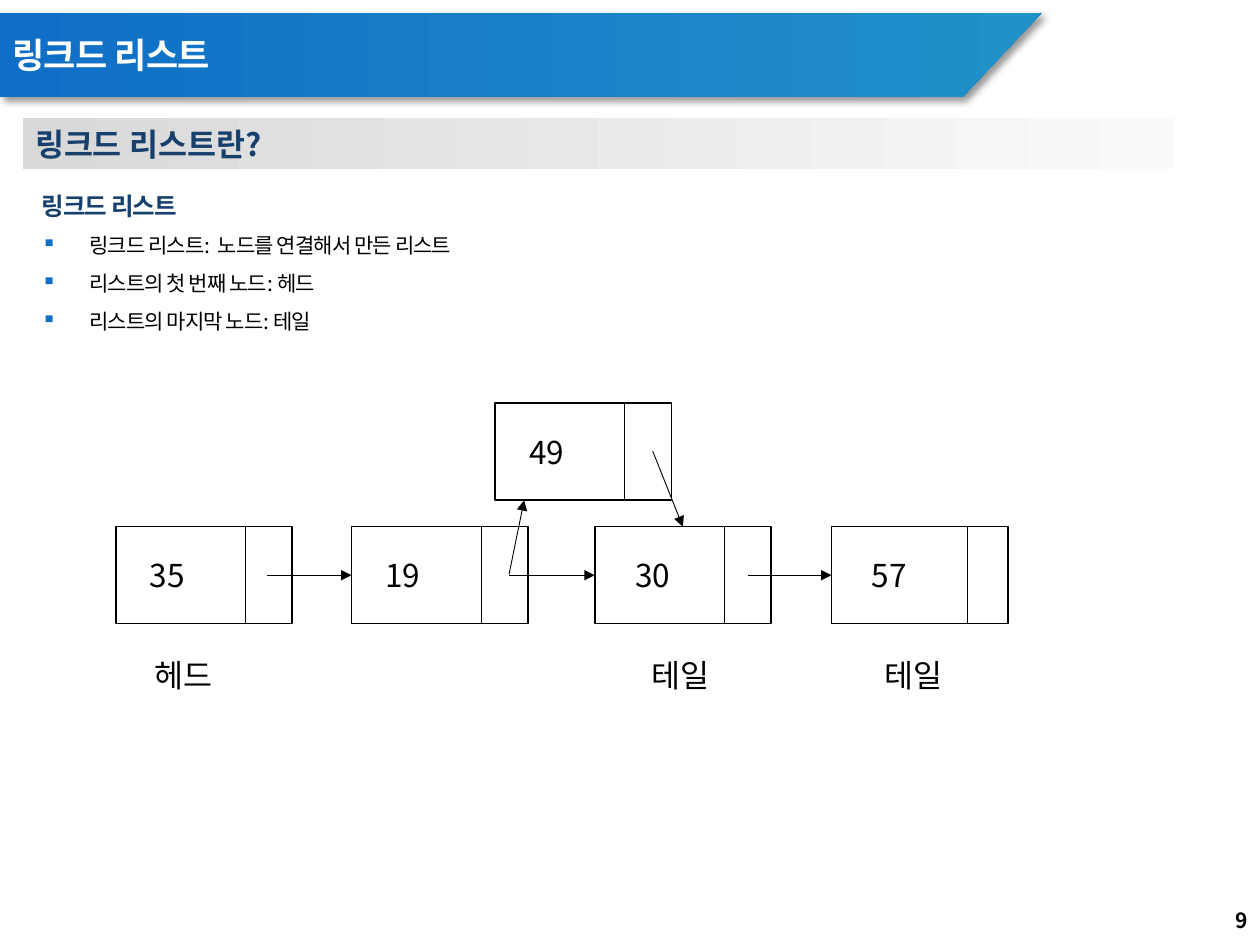
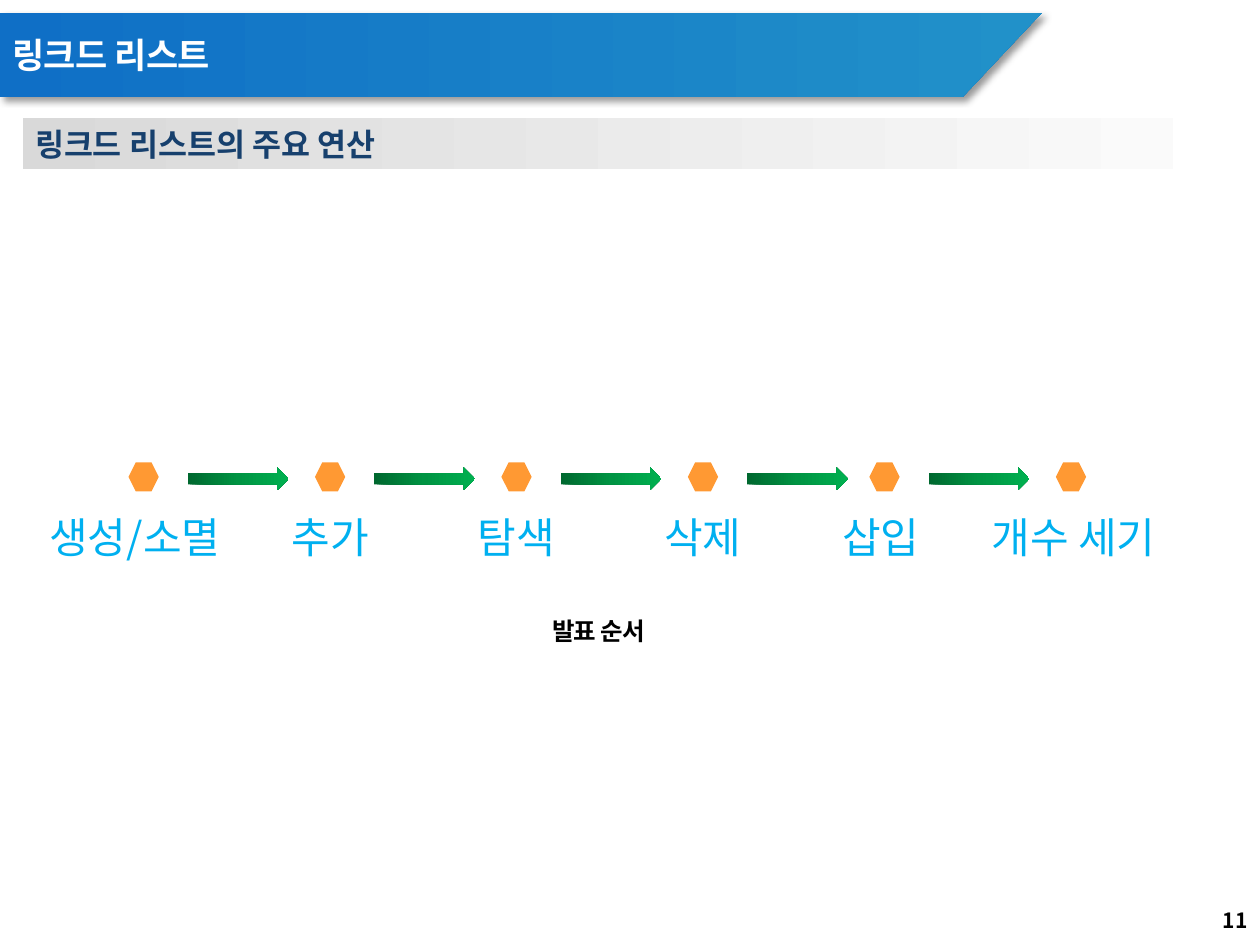
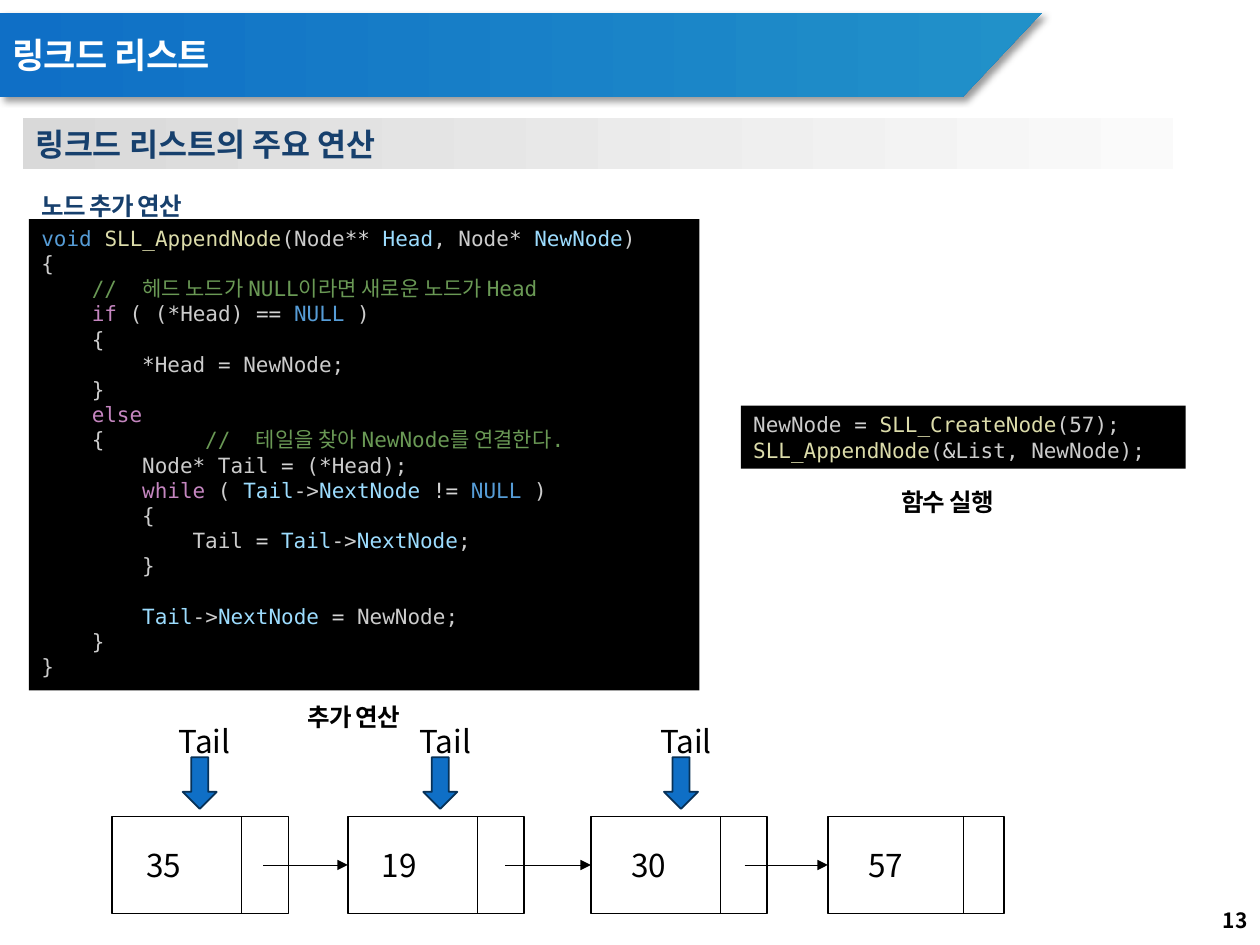
from lxml import etree
from pptx import Presentation
from pptx.dml.color import RGBColor
from pptx.enum.shapes import MSO_CONNECTOR, MSO_SHAPE
from pptx.enum.text import MSO_ANCHOR, PP_ALIGN
from pptx.oxml.ns import qn
from pptx.util import Inches, Pt

RECTANGLE = MSO_SHAPE.RECTANGLE
HEXAGON = MSO_SHAPE.HEXAGON
RIGHT_ARROW = MSO_SHAPE.RIGHT_ARROW
DOWN_ARROW = MSO_SHAPE.DOWN_ARROW
STRAIGHT = MSO_CONNECTOR.STRAIGHT
TOP, MIDDLE = MSO_ANCHOR.TOP, MSO_ANCHOR.MIDDLE
LEFT, CENTER, RIGHT = PP_ALIGN.LEFT, PP_ALIGN.CENTER, PP_ALIGN.RIGHT
TOP_SIDE, LEFT_SIDE = 0, 1

FONT = "Noto Sans CJK KR"
CAPTION_FONT = "Arial"
CODE_FONT = "DejaVu Sans Mono"

BLACK = RGBColor(0x00, 0x00, 0x00)
WHITE = RGBColor(0xFF, 0xFF, 0xFF)
NAVY = RGBColor(0x17, 0x40, 0x6D)
BLUE = RGBColor(0x0F, 0x6F, 0xC6)
DARK_BLUE = RGBColor(0x07, 0x31, 0x57)
SKY = RGBColor(0x00, 0xB0, 0xF0)
ORANGE = RGBColor(0xFF, 0x99, 0x33)
BANNER_COLORS = [BLUE, RGBColor(0x21, 0x91, 0xC9)]
BAND_COLORS = [RGBColor(0xD9, 0xD9, 0xD9), RGBColor(0xFA, 0xFA, 0xFA)]
ARROW_COLORS = [RGBColor(0x00, 0x68, 0x2F), RGBColor(0x00, 0x94, 0x43),
                RGBColor(0x00, 0xB0, 0x50)]

# Syntax colours
PLAIN = RGBColor(0xCC, 0xCC, 0xCC)
OPERATOR = RGBColor(0xD4, 0xD4, 0xD4)
KEYWORD = RGBColor(0x56, 0x9C, 0xD6)
CONTROL = RGBColor(0xC5, 0x86, 0xC0)
FUNCTION = RGBColor(0xDC, 0xDC, 0xAA)
VARIABLE = RGBColor(0x9C, 0xDC, 0xFE)
COMMENT = RGBColor(0x6A, 0x99, 0x55)

CODE_INDENT = 0.4
COMMENT_TAB = 1.3
NODE_WIDTH, NODE_HEIGHT = 1.4, 0.77
# Value, left offset, text inset, divider offset, start of the outgoing link
LIST_NODES = [
    ("35", 0, 0.27, 1.03, 1.2),
    ("19", 1.87, 0.27, 1.03, 1.25),
    ("30", 3.8, 0.32, 1.03, 1.22),
    ("57", 5.68, 0.32, 1.08, None),
]

# Each line: indent level, then its coloured runs
APPEND_CODE = [
    (0, [("void ", KEYWORD), ("SLL_AppendNode", FUNCTION), ("(Node", PLAIN),
         ("** ", OPERATOR), ("Head", VARIABLE), (", Node", PLAIN),
         ("* ", OPERATOR), ("NewNode", VARIABLE), (")", PLAIN)]),
    (0, [("{", PLAIN)]),
    (1, [("//  헤드 노드가 NULL이라면 새로운 노드가 Head", COMMENT)]),
    (1, [("if", CONTROL), (" ( (", PLAIN), ("*", OPERATOR), ("Head) ", PLAIN),
         ("== ", OPERATOR), ("NULL", KEYWORD), (" )", PLAIN)]),
    (1, [("{", PLAIN)]),
    (2, [("*", OPERATOR), ("Head ", PLAIN), ("= ", OPERATOR), ("NewNode;", PLAIN)]),
    (1, [("}", PLAIN)]),
    (1, [("else", CONTROL)]),
    (0, [("\t{\t", PLAIN), ("//  테일을 찾아 NewNode를 연결한다.", COMMENT)]),
    (2, [("Node", PLAIN), ("*", OPERATOR), (" Tail ", PLAIN), ("=", OPERATOR),
         (" (", PLAIN), ("*", OPERATOR), ("Head);", PLAIN)]),
    (2, [("while", CONTROL), (" ( ", PLAIN), ("Tail", VARIABLE), ("->", PLAIN),
         ("NextNode ", VARIABLE), ("!= ", OPERATOR), ("NULL", KEYWORD), (" )", PLAIN)]),
    (2, [("{", PLAIN)]),
    (3, [("Tail ", PLAIN), ("= ", OPERATOR), ("Tail", VARIABLE), ("->", PLAIN),
         ("NextNode", VARIABLE), (";", PLAIN)]),
    (2, [("}", PLAIN)]),
    (2, [("Tail", VARIABLE), ("->", PLAIN), ("NextNode ", VARIABLE),
         ("= ", OPERATOR), ("NewNode;", PLAIN)]),
    (1, [("}", PLAIN)]),
    (0, [("}", PLAIN)]),
]
LINE_AFTER_GAP = 14
CALL_CODE = [
    (0, [("NewNode ", PLAIN), ("= ", OPERATOR), ("SLL_CreateNode", FUNCTION),
         ("(57);", PLAIN)]),
    (0, [("SLL_AppendNode", FUNCTION), ("(", PLAIN), ("&", OPERATOR),
         ("List, NewNode);", PLAIN)]),
]


# Basic parts

def add_xml(parent, tag, **attributes):
    child = etree.SubElement(parent, qn(tag))
    for name, value in attributes.items():
        child.set(name, str(value))
    return child


def add_run(paragraph, text, size, color, font=FONT, bold=False, spacing=0):
    run = paragraph.add_run()
    run.text = text
    run.font.size = Pt(size)
    run.font.bold = bold
    run.font.color.rgb = color
    run.font.name = font
    properties = run.font._element
    add_xml(properties, "a:ea", typeface=FONT)
    if spacing:
        properties.set("spc", str(round(spacing * 100)))


def add_text(slide, box, text, size, color, align=LEFT, anchor=TOP, **style):
    text_box = slide.shapes.add_textbox(*map(Inches, box))
    frame = text_box.text_frame
    frame.word_wrap = True
    frame.vertical_anchor = anchor
    paragraph = frame.paragraphs[0]
    paragraph.alignment = align
    add_run(paragraph, text, size, color, **style)
    return frame


def paint(shape, colors, line_color=None):
    """Fill with one colour, or left to right with several."""
    shape.shadow.inherit = False
    if len(colors) == 1:
        shape.fill.solid()
        shape.fill.fore_color.rgb = colors[0]
    else:
        shape.fill.gradient()
        shape.fill.gradient_angle = 0
        stops = shape._element.spPr.find(".//" + qn("a:gsLst"))
        stops.clear()
        for index, color in enumerate(colors):
            stop = add_xml(stops, "a:gs", pos=100000 * index // (len(colors) - 1))
            add_xml(stop, "a:srgbClr", val=color)
    if line_color is None:
        shape.line.fill.background()
    else:
        shape.line.color.rgb = line_color
        shape.line.width = Pt(1)


def add_box(slide, kind, box, colors, line_color=None):
    shape = slide.shapes.add_shape(kind, *map(Inches, box))
    paint(shape, colors, line_color)
    frame = shape.text_frame
    frame.word_wrap = True
    frame.vertical_anchor = TOP
    frame.paragraphs[0].alignment = LEFT
    return shape


def add_line(slide, start, end, arrow=False):
    line = slide.shapes.add_connector(STRAIGHT, *map(Inches, (*start, *end)))
    line.line.color.rgb = BLACK
    line.line.width = Pt(0.5)
    if arrow:
        add_xml(line.line._get_or_add_ln(), "a:tailEnd", type="triangle")
    add_xml(line._element.spPr, "a:effectLst")
    return line


# Shared frame of every slide

def add_banner(slide, left, top, width, height):
    slant = 0.63
    right, bottom = left + width, top + height
    points = [(right, top), (right - slant, bottom), (left, bottom)]
    builder = slide.shapes.build_freeform(Inches(left), Inches(top))
    builder.add_line_segments([(Inches(x), Inches(y)) for x, y in points], close=True)
    banner = builder.convert_to_shape()
    paint(banner, BANNER_COLORS)
    effects = banner._element.spPr.find(qn("a:effectLst"))
    shadow = add_xml(effects, "a:outerShdw", blurRad=Pt(4), dist=Pt(3),
                     dir=45 * 60000, algn="tl", rotWithShape=0)
    color = add_xml(shadow, "a:srgbClr", val=BLACK)
    add_xml(color, "a:alpha", val=40000)
    add_text(slide, (left, top + 0.1, 6.69, 0.47), "링크드 리스트", 20, WHITE,
             anchor=MIDDLE, bold=True, spacing=-0.4)


def add_slide(presentation, section, number):
    slide = presentation.slides.add_slide(presentation.slide_layouts[6])
    add_banner(slide, 0, 0.1, 8.27, 0.67)
    add_text(slide, (7.75, 7.1, 2.25, 0.4), str(number), 12, BLACK,
             align=RIGHT, anchor=MIDDLE, bold=True)
    band = add_box(slide, RECTANGLE, (0.18, 0.94, 9.13, 0.4), BAND_COLORS)
    add_run(band.text_frame.paragraphs[0], section, 18, NAVY, bold=True)
    return slide


def add_topic(slide, heading, bullets=()):
    height = 0.41 + 0.3 * len(bullets)
    frame = add_text(slide, (0.23, 1.35, 9.45, height), heading, 14, NAVY,
                     bold=True, spacing=-0.5)
    frame.paragraphs[0].line_spacing = 1.5
    for bullet in bullets:
        paragraph = frame.add_paragraph()
        paragraph.line_spacing = 1.5
        properties = paragraph._p.get_or_add_pPr()
        properties.set("marL", str(Inches(0.38)))
        properties.set("indent", str(-Inches(0.38)))
        add_xml(add_xml(properties, "a:buClr"), "a:srgbClr", val=BLUE)
        add_xml(properties, "a:buChar", char="▪")
        add_run(paragraph, bullet, 12, BLACK, spacing=-0.5)


def add_caption(slide, center, top, text):
    width = 2
    add_text(slide, (center - width / 2, top, width, 0.34), text, 14, BLACK,
             align=CENTER, font=CAPTION_FONT, bold=True, spacing=-0.5)


# Linked list diagram

def add_node(slide, left, top, value, inset, divider):
    node = add_box(slide, RECTANGLE, (left, top, NODE_WIDTH, NODE_HEIGHT), [WHITE], BLACK)
    frame = node.text_frame
    frame.vertical_anchor = MIDDLE
    frame.margin_left = Inches(inset)
    add_run(frame.paragraphs[0], value, 18, BLACK)
    add_line(slide, (left + divider, top), (left + divider, top + NODE_HEIGHT))
    return node


def add_linked_list(slide, left, top):
    nodes = [add_node(slide, left + offset, top, value, inset, divider)
             for value, offset, inset, divider, _ in LIST_NODES]
    middle = top + NODE_HEIGHT / 2
    for current, following, node in zip(LIST_NODES, LIST_NODES[1:], nodes[1:]):
        start = left + current[1] + current[4]
        link = add_line(slide, (start, middle), (left + following[1], middle), arrow=True)
        link.end_connect(node, LEFT_SIDE)
    return nodes


def add_inserted_node(slide, left, top, next_node):
    add_node(slide, left, top, "49", 0.27, 1.03)
    bottom = top + NODE_HEIGHT
    link = add_line(slide, (left + 1.25, top + 0.38), (left + 1.49, bottom + 0.21), arrow=True)
    link.end_connect(next_node, TOP_SIDE)
    add_line(slide, (left + 0.11, bottom + 0.59), (left + 0.23, bottom), arrow=True)


def add_tail_marker(slide, left, top):
    add_text(slide, (left, top, 0.69, 0.4), "Tail", 18, BLACK)
    add_box(slide, DOWN_ARROW, (left + 0.13, top + 0.33, 0.27, 0.41), [BLUE], DARK_BLUE)


# Code panel

def add_code(slide, box, lines, gap_before=None):
    panel = add_box(slide, RECTANGLE, box, [BLACK])
    frame = panel.text_frame
    for index, (level, runs) in enumerate(lines):
        paragraph = frame.add_paragraph() if index else frame.paragraphs[0]
        paragraph.alignment = LEFT
        if index == LINE_AFTER_GAP:
            paragraph.space_before = Pt(14.4)
        properties = paragraph._p.get_or_add_pPr()
        properties.set("marL", str(Inches(CODE_INDENT * level)))
        if runs[0][0].startswith("\t"):
            tabs = add_xml(properties, "a:tabLst")
            for position in (CODE_INDENT, COMMENT_TAB):
                add_xml(tabs, "a:tab", pos=Inches(position), algn="l")
        for text, color in runs:
            add_run(paragraph, text, 12, color, font=CODE_FONT)


# Row of steps

def add_step(slide, left, top, label, label_shift, has_next):
    width, label_width = 0.24, 2
    center = left + width / 2 + label_shift
    add_box(slide, HEXAGON, (left, top, width, 0.23), [ORANGE])
    add_text(slide, (center - label_width / 2, top + 0.34, label_width, 0.5),
             label, 24, SKY, align=CENTER)
    if has_next:
        add_box(slide, RIGHT_ARROW, (left + 0.47, top + 0.04, 0.8, 0.18), ARROW_COLORS)


# Slides

def build_definition_slide(presentation):
    slide = add_slide(presentation, "링크드 리스트란?", 9)
    add_topic(slide, "링크드 리스트", [
        "링크드 리스트:  노드를 연결해서 만든 리스트",
        "리스트의 첫 번째 노드: 헤드",
        "리스트의 마지막 노드: 테일",
    ])
    nodes = add_linked_list(slide, 0.92, 4.18)
    for left, label in ((1.13, "헤드"), (5.07, "테일"), (6.92, "테일")):
        add_text(slide, (left, 5.16, 0.99, 0.4), label, 18, BLACK)
    add_inserted_node(slide, 3.93, 3.2, nodes[2])


def build_order_slide(presentation):
    slide = add_slide(presentation, "링크드 리스트의 주요 연산", 11)
    steps = [("생성/소멸", 1.02, -0.07), ("추가", 2.5, 0), ("탐색", 3.98, 0),
             ("삭제", 5.46, 0), ("삽입", 6.9, -0.03), ("개수 세기", 8.38, 0.02)]
    for index, (label, left, shift) in enumerate(steps):
        add_step(slide, left, 3.67, label, shift, index < len(steps) - 1)
    add_caption(slide, 4.75, 4.84, "발표 순서")


def build_append_slide(presentation):
    slide = add_slide(presentation, "링크드 리스트의 주요 연산", 13)
    add_topic(slide, "노드 추가 연산")
    add_code(slide, (0.23, 1.74, 5.32, 3.74), APPEND_CODE)
    add_caption(slide, 2.81, 5.52, "추가 연산")
    add_code(slide, (5.88, 3.22, 3.53, 0.5), CALL_CODE)
    add_caption(slide, 7.52, 3.82, "함수 실행")
    add_linked_list(slide, 0.89, 6.48)
    for index in range(3):
        add_tail_marker(slide, 1.32 + 1.91 * index, 5.68)


def main():
    presentation = Presentation()
    presentation.slide_width = Inches(10)
    presentation.slide_height = Inches(7.5)
    build_definition_slide(presentation)
    build_order_slide(presentation)
    build_append_slide(presentation)
    presentation.save("out.pptx")


if __name__ == "__main__":
    main()
